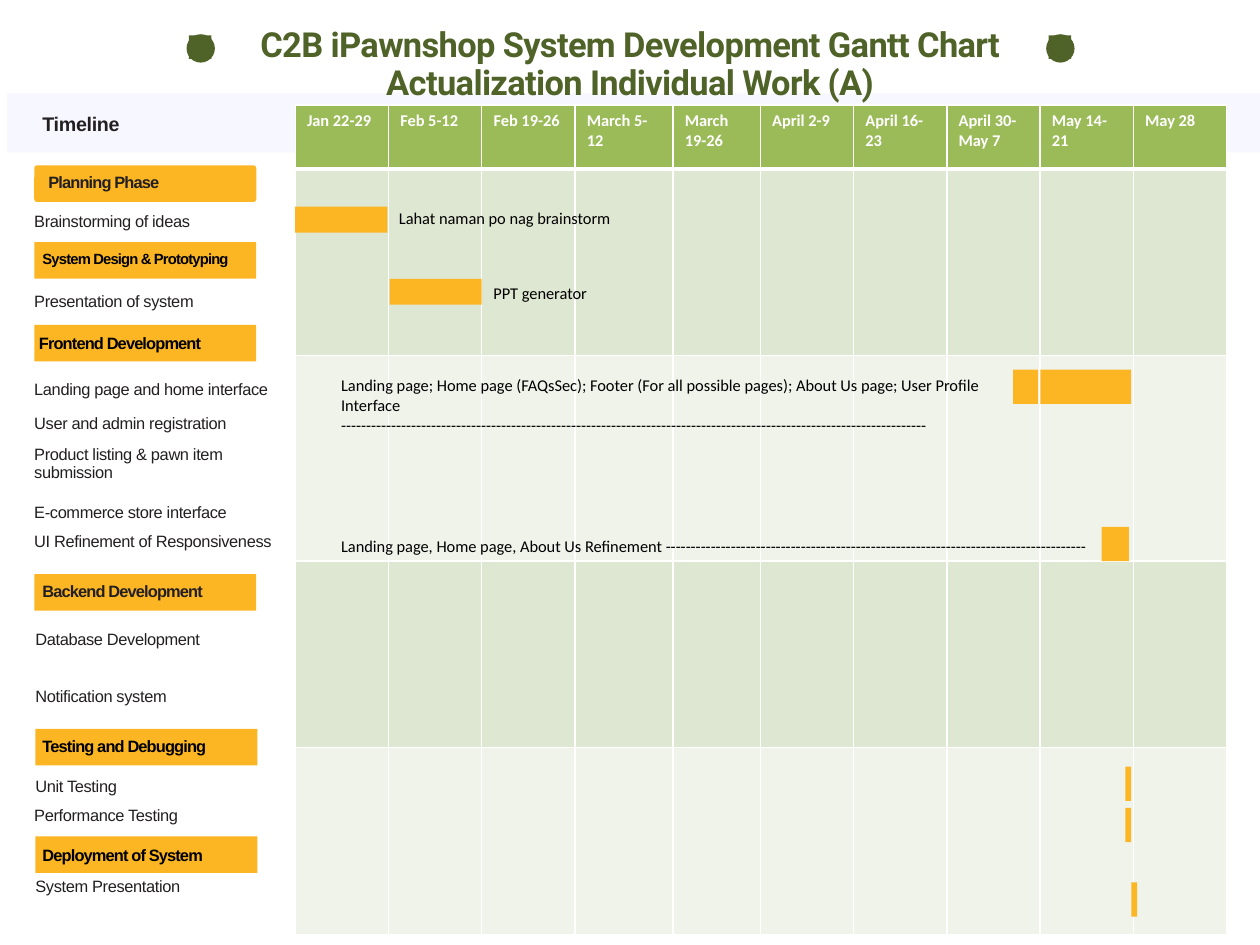
from dataclasses import dataclass

from lxml.etree import SubElement
from pptx import Presentation
from pptx.dml.color import RGBColor
from pptx.enum.shapes import MSO_CONNECTOR, MSO_SHAPE
from pptx.enum.text import MSO_ANCHOR, MSO_AUTO_SIZE, PP_ALIGN
from pptx.oxml.ns import qn
from pptx.util import Inches, Pt


@dataclass(frozen=True)
class Theme:
    olive: str = "4F6228"
    amber: str = "FCB624"
    band: str = "F7F7FF"
    rule: str = "D5D5D5"
    ink: str = "231F20"
    black: str = "000000"
    white: str = "FFFFFF"
    header: str = "9BBB59"
    rows: tuple = ("DEE7D1", "EFF3EA")
    title_size: float = 21
    heading_size: float = 12
    text_size: float = 10
    small_size: float = 9
    title_font: str = "Roboto"
    label_font: str = "Arial"
    note_font: str = "Calibri"


class GanttSlide:
    def __init__(self, slide, theme):
        self.s = slide
        self.t = theme

    def format(self, tf, font, size, color, bold=False, spacing=0, leading=None):
        for p in tf.paragraphs:
            if leading:
                p.line_spacing = Pt(leading)
            for r in p.runs:
                r.font.name = font
                r.font.size = Pt(size)
                r.font.bold = bold
                r.font.color.rgb = RGBColor.from_string(color)
                if spacing:
                    r._r.get_or_add_rPr().set("spc", str(round(spacing * 100)))

    def clear_insets(self, tf):
        tf.margin_left = tf.margin_right = tf.margin_top = tf.margin_bottom = 0

    def title(self, text, x, y, w, h):
        sp = self.s.shapes.title
        sp.left, sp.top, sp.width, sp.height = map(Inches, (x, y, w, h))
        sp._element.getparent().append(sp._element)
        tf = sp.text_frame
        tf.text = text
        tf.auto_size = MSO_AUTO_SIZE.NONE
        tf.vertical_anchor = MSO_ANCHOR.TOP
        self.clear_insets(tf)
        for p in tf.paragraphs:
            p.alignment = PP_ALIGN.CENTER
            p.space_before = Pt(0)
        self.format(tf, self.t.title_font, self.t.title_size, self.t.olive, True, -0.4, 23.3)

    def shape(self, kind, x, y, w, h, color):
        sp = self.s.shapes.add_shape(kind, *map(Inches, (x, y, w, h)))
        sp.shadow.inherit = False
        sp.fill.solid()
        sp.fill.fore_color.rgb = RGBColor.from_string(color)
        sp.line.fill.background()
        return sp

    def bullet(self, x):
        self.shape(MSO_SHAPE.OVAL, x, 0.29, 0.24, 0.24, self.t.olive)
        self.shape(MSO_SHAPE.RECTANGLE, x + 0.02, 0.3, 0.19, 0.2, self.t.olive)

    def bar(self, x, y, w, h=0.29):
        self.shape(MSO_SHAPE.RECTANGLE, x, y, w, h, self.t.amber)

    def rule(self, y):
        line = self.s.shapes.add_connector(
            MSO_CONNECTOR.STRAIGHT, Inches(2.57), Inches(y), Inches(10.39), Inches(y))
        line.line.color.rgb = RGBColor.from_string(self.t.rule)
        line.line.width = Pt(0.75)
        SubElement(line._element.spPr, qn("a:effectLst"))

    def text_box(self, text, x, y, w, h):
        tf = self.s.shapes.add_textbox(*map(Inches, (x, y, w, h))).text_frame
        tf.word_wrap = True
        tf.text = text
        return tf

    def heading(self, text, x, y):
        tf = self.text_box(text, x, y, 1.7, 0.18)
        self.clear_insets(tf)
        self.format(tf, self.t.label_font, self.t.heading_size, self.t.ink, True, -0.2, 13.3)

    def phase(self, text, x, y, text_x, text_y, size, color, rounded=False):
        kind = MSO_SHAPE.ROUNDED_RECTANGLE if rounded else MSO_SHAPE.RECTANGLE
        sp = self.shape(kind, x, y, 1.88, 0.31, self.t.amber)
        if rounded:
            sp.adjustments[0] = 0.08
        tf = self.text_box(text, text_x, text_y, 1.75, 0.16)
        self.clear_insets(tf)
        self.format(tf, self.t.label_font, size, color, True, -0.5, 11.1)

    def task(self, text, x, y, h=0.16):
        tf = self.text_box(text, x, y, 2.27, h)
        self.clear_insets(tf)
        self.format(tf, self.t.label_font, self.t.text_size, self.t.ink, False, -0.2, 11.1)

    def note(self, text, x, y, w, h=0.27):
        tf = self.text_box(text, x, y, w, h)
        self.format(tf, self.t.note_font, self.t.text_size, self.t.black)

    def border(self, cell, side, width):
        ln = SubElement(cell._tc.get_or_add_tcPr(), qn(f"a:ln{side}"), w=str(Pt(width)))
        fill = SubElement(ln, qn("a:solidFill"))
        SubElement(fill, qn("a:srgbClr"), val=self.t.white)

    def timeline(self, dates, widths, heights, x, y):
        size = map(Inches, (x, y, sum(widths), sum(heights)))
        table = self.s.shapes.add_table(len(heights), len(widths), *size).table
        for column, w in zip(table.columns, widths):
            column.width = Inches(w)
        for i, h in enumerate(heights):
            table.rows[i].height = Inches(h)
            color = self.t.rows[(i - 1) % 2] if i else self.t.header
            for j, date in enumerate(dates):
                cell = table.cell(i, j)
                for side in "LRTB":
                    thick = (i, side) in ((0, "B"), (1, "T"))
                    self.border(cell, side, 3 if thick else 1)
                cell.fill.solid()
                cell.fill.fore_color.rgb = RGBColor.from_string(color)
                if i == 0:
                    cell.text_frame.text = date
                    self.format(cell.text_frame, self.t.note_font, self.t.text_size,
                                self.t.white, True)


def main():
    prs = Presentation()
    prs.slide_width, prs.slide_height = Inches(10.67), Inches(8)
    t = Theme()
    g = GanttSlide(prs.slides.add_slide(prs.slide_layouts[5]), t)

    g.shape(MSO_SHAPE.RECTANGLE, 0.06, 0.79, 10.67, 0.5, t.band)
    for y in (2.84, 4.12, 5.4, 6.69, 7.76):
        g.rule(y)
    for x in (1.58, 8.86):
        g.bullet(x)
    g.heading("Timeline", 0.36, 0.96)

    dates = ["Jan 22-29", "Feb 5-12", "Feb 19-26", "March 5-12", "March 19-26",
             "April 2-9", "April 16-23", "April 30-May 7", "May 14-21", "May 28"]
    widths = [0.79] * 3 + [0.83, 0.74] + [0.79] * 5
    g.timeline(dates, widths, [0.54, 1.58, 1.74, 1.58, 1.58], 2.5, 0.89)
    g.title("C2B iPawnshop System Development Gantt Chart\nActualization Individual Work (A)",
            1.94, 0.22, 6.79, 0.65)

    g.phase("Planning Phase", 0.29, 1.4, 0.41, 1.47, t.text_size, t.ink, True)
    for phase in (
        ("System Design & Prototyping", 0.29, 2.05, 0.36, 2.11, t.small_size, t.black),
        ("Frontend Development", 0.29, 2.75, 0.33, 2.83, t.text_size, t.black),
        ("Backend Development", 0.29, 4.86, 0.36, 4.93, t.text_size, t.ink),
        ("Testing and Debugging", 0.3, 6.17, 0.36, 6.24, t.text_size, t.black),
        ("Deployment of System", 0.3, 7.08, 0.36, 7.17, t.text_size, t.black),
    ):
        g.phase(*phase)

    for task in (
        ("Brainstorming of ideas", 0.29, 1.8),
        ("Presentation of system", 0.29, 2.48),
        ("Landing page and home interface", 0.29, 3.22),
        ("User and admin registration", 0.29, 3.51),
        ("Product listing & pawn item submission", 0.29, 3.77, 0.31),
        ("E-commerce store interface", 0.29, 4.26),
        ("UI Refinement of Responsiveness", 0.29, 4.51),
        ("Database Development", 0.3, 5.34),
        ("Notification system", 0.3, 5.82),
        ("Unit Testing", 0.3, 6.58),
        ("Performance Testing", 0.29, 6.83),
        ("System Presentation", 0.3, 7.43),
    ):
        g.task(*task)

    for bar in ((2.5, 1.75, 0.78, 0.22), (3.3, 2.36, 0.78, 0.22), (8.58, 3.13, 0.21),
                (8.81, 3.13, 0.77), (9.33, 4.46, 0.23), (9.53, 6.49, 0.05),
                (9.53, 6.84, 0.05), (9.58, 7.47, 0.05)):
        g.bar(*bar)

    g.note("Lahat naman po nag brainstorm", 3.28, 1.71, 2.21)
    g.note("PPT generator", 4.08, 2.35, 2.21)
    g.note("Landing page; Home page (FAQsSec); Footer (For all possible pages); "
           "About Us page; User Profile Interface " + "-" * 117, 2.79, 3.13, 5.68, 0.44)
    g.note("Landing page, Home page, About Us Refinement " + "-" * 84, 2.79, 4.49, 6.53)

    prs.save("out.pptx")


if __name__ == "__main__":
    main()
